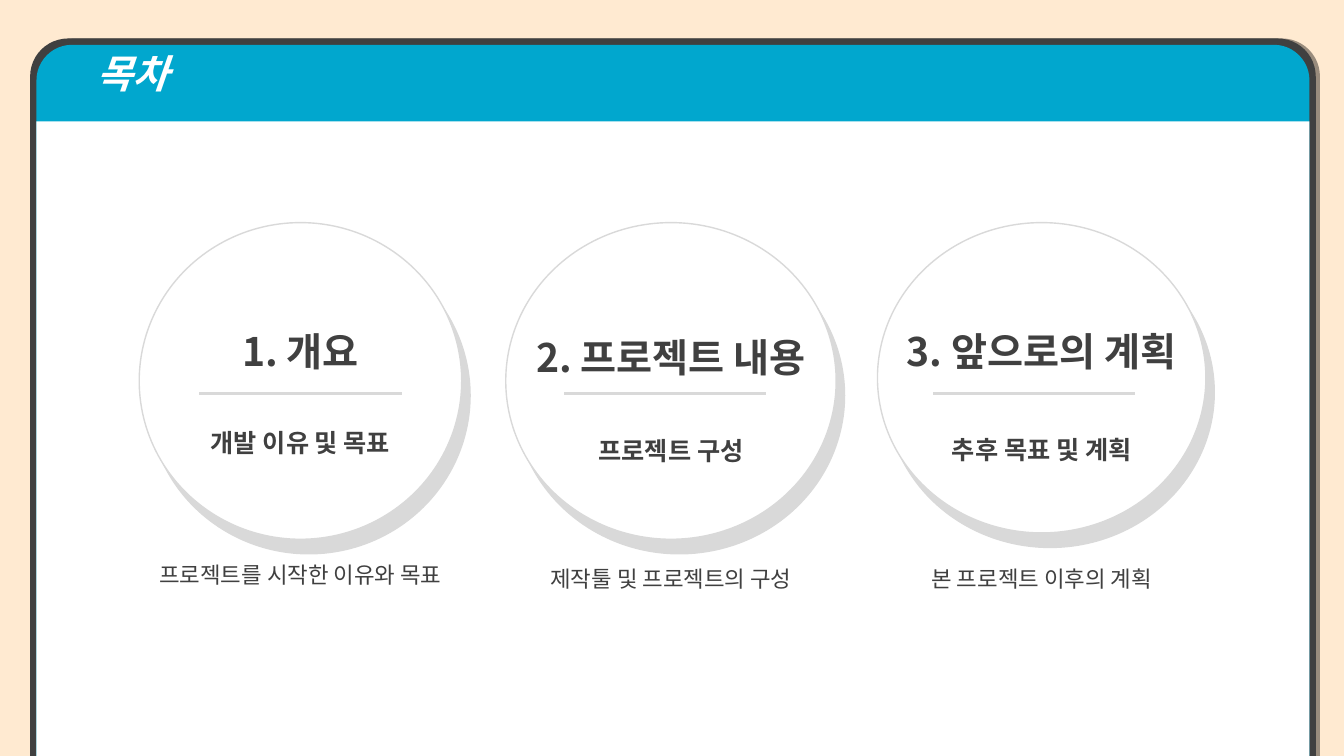
from lxml.etree import SubElement
from pptx import Presentation
from pptx.dml.color import RGBColor
from pptx.enum.shapes import MSO_CONNECTOR as Line, MSO_SHAPE as Kind
from pptx.enum.text import MSO_ANCHOR as Anchor, PP_ALIGN as Align
from pptx.oxml.ns import qn
from pptx.util import Cm, Pt

FONT = "Noto Sans CJK KR"
HUES = {"paper": "FFEAD1", "ink": "404040", "band": "01A7CE",
        "white": "FFFFFF", "grey": "D9D9D9", "black": "000000"}
WIDE, HIGH = 33.88, 19.05

# circle left, width, height; rule inset; heights of the three texts; texts
TOPICS = [
    (3.51, 8.13, 7.98, 1.52, (3.22, 5.54, 8.88),
     ("1. 개요", "개발 이유 및 목표", "프로젝트를 시작한 이유와 목표")),
    (12.75, 8.33, 7.98, 1.47, (3.37, 5.74, 8.96),
     ("2. 프로젝트 내용", "프로젝트 구성", "제작툴 및 프로젝트의 구성")),
    (22.12, 8.28, 7.82, 1.4, (3.22, 5.72, 8.96),
     ("3. 앞으로의 계획", "추후 목표 및 계획", "본 프로젝트 이후의 계획")),
]
STYLES = [(28, True), (18, True), (16, False)]


def hue(name):
    return RGBColor.from_string(HUES[name])


def put(slide, kind, box, fill):
    """Add a flat shape without outline."""
    shape = slide.shapes.add_shape(kind, *map(Cm, box))
    shape.shadow.inherit = False
    shape.fill.solid()
    shape.fill.fore_color.rgb = hue(fill)
    shape.line.fill.background()
    return shape


def shade(shape, gap, angle, alpha):
    """Cast a hard shadow: gap in points, angle in degrees, alpha in percent."""
    effects = shape.element.spPr.find(qn("a:effectLst"))
    cast = SubElement(effects, qn("a:outerShdw"), blurRad="0", dist=str(Pt(gap)),
                      dir=str(angle * 60000), algn="ctr", rotWithShape="0")
    tint = SubElement(cast, qn("a:srgbClr"), val=HUES["black"])
    SubElement(tint, qn("a:alpha"), val=str(alpha * 1000))


def write(frame, text, size, color, bold, align):
    frame.margin_left = frame.margin_right = 0
    frame.margin_top = frame.margin_bottom = 0
    frame.word_wrap = True
    frame.vertical_anchor = Anchor.MIDDLE
    par = frame.paragraphs[0]
    par.text = text
    par.alignment = align
    font = par.font
    font.size, font.bold, font.name = Pt(size), bold, FONT
    font.color.rgb = hue(color)
    SubElement(font._rPr, qn("a:ea"), typeface=FONT)
    return font


def draw_card(slide, box):
    """Draw the rounded window with its title band."""
    left, top, width, height = box
    edge, band = 0.16, 1.93
    rim = put(slide, Kind.ROUND_2_SAME_RECTANGLE, box, "ink")
    rim.adjustments[0] = 0.053
    shade(rim, 3, 0, 40)
    inner = (left + edge, top + edge, width - 2 * edge, height - edge)
    put(slide, Kind.ROUND_2_SAME_RECTANGLE, inner, "band").adjustments[0] = 0.05
    put(slide, Kind.RECTANGLE, (inner[0], inner[1] + band, inner[2],
                                inner[3] - band), "white")

    title = slide.shapes.title
    title.left, title.top = Cm(left + 1.68), Cm(top + edge)
    title.width, title.height = Cm(width - 3.36), Cm(1.43)
    font = write(title.text_frame, "목차", 28, "white", True, Align.LEFT)
    font.italic = True
    slide.shapes.element.append(title.element)  # bring to the front


def draw_topic(slide, box, inset, drops, texts):
    """Draw a circle with heading, rule and subtitle, and a caption below."""
    left, top, width, height = box
    disc = put(slide, Kind.OVAL, box, "white")
    disc.line.color.rgb = hue("grey")
    disc.line.width = Pt(1)
    shade(disc, 12, 60, 15)

    start, level = left + inset, top + 4.3
    rule = slide.shapes.add_connector(Line.STRAIGHT, Cm(start), Cm(level),
                                      Cm(start + 5.1), Cm(level))
    rule.line.color.rgb = hue("grey")
    rule.line.width = Pt(2)
    SubElement(rule.element.spPr, qn("a:effectLst"))

    span, tall = 9.3, 1.6
    for drop, text, (size, bold) in zip(drops, texts, STYLES):
        label = slide.shapes.add_textbox(
            Cm(left + (width - span) / 2), Cm(top + drop - tall / 2), Cm(span), Cm(tall))
        write(label.text_frame, text, size, "ink", bold, Align.CENTER)


def main():
    deck = Presentation()
    deck.slide_width, deck.slide_height = Cm(WIDE), Cm(HIGH)
    slide = deck.slides.add_slide(deck.slide_layouts[5])
    slide.background.fill.solid()
    slide.background.fill.fore_color.rgb = hue("paper")
    draw_card(slide, (0.76, 0.97, 32.41, HIGH - 0.97))
    for left, width, height, inset, drops, texts in TOPICS:
        draw_topic(slide, (left, 5.61, width, height), inset, drops, texts)
    deck.save("out.pptx")


if __name__ == "__main__":
    main()
